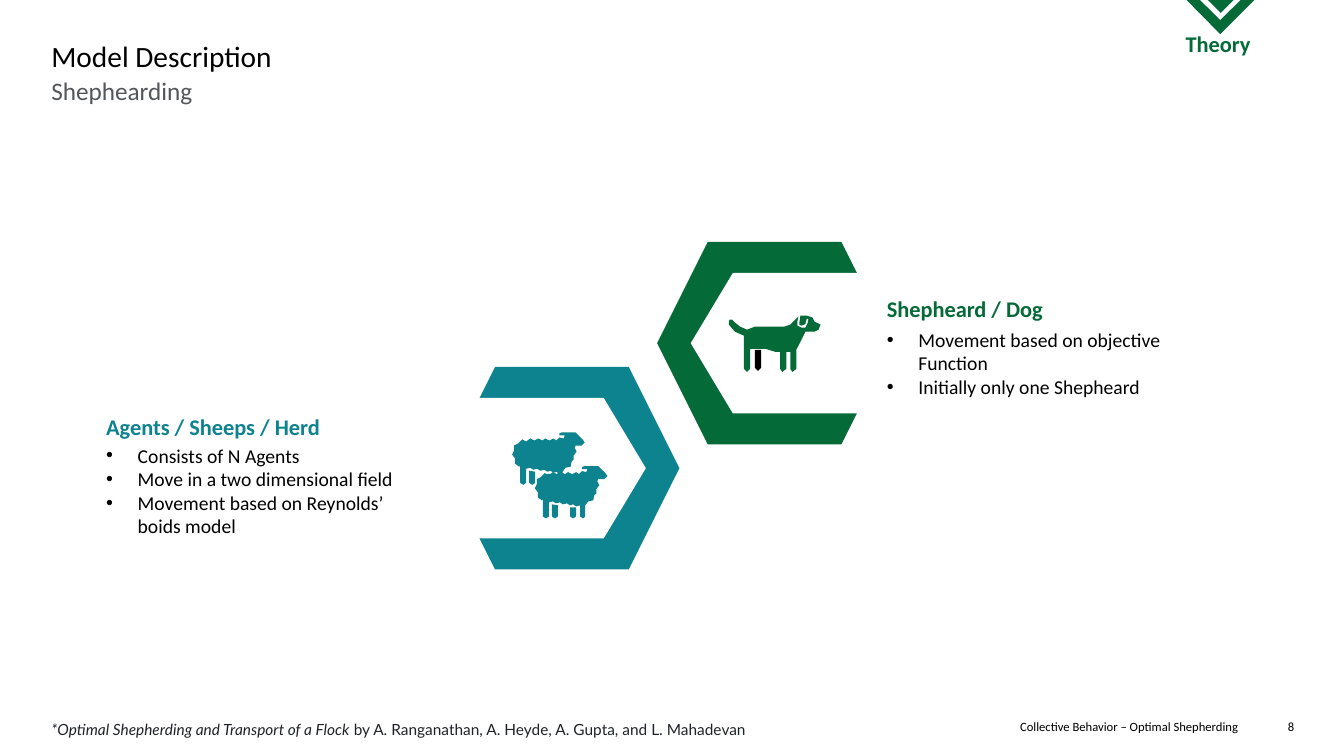
"""Build the Model Description slide on shepherding."""
from lxml import etree
from pptx import Presentation
from pptx import util as u
from pptx.dml import color
from pptx.enum import shapes, text
from pptx.oxml import ns

COLOURS = {"green": "046A38", "teal": "0D8390", "black": "000000",
           "grey": "53565A", "ink": "1F2328", "white": "FFFFFF"}
GRID = u.Pt(0.72)

CHEVRON = [(0, 0), (10, 0), (14, 6), (25, 20), (87, 81), (149, 20), (160, 6),
           (164, 0), (175, 0), (173, 3), (156, 26), (87, 95), (19, 26), (1, 3)]
DOG_BODY = [(85, 6), (83, 2), (77, 0), (71, 0), (70, 7), (70, 9), (72, 10),
            (75, 9), (76, 8), (77, 4), (78, 3), (79, 4), (78, 8), (76, 12),
            (72, 12), (68, 10), (68, 6), (69, 1), (61, 9), (55, 11), (26, 11),
            (18, 14), (11, 11), (5, 6), (3, 4), (1, 4), (0, 6), (0, 9),
            (6, 16), (15, 20), (15, 53), (18, 56), (21, 53), (21, 33),
            (36, 33), (46, 36), (51, 36), (51, 53), (53, 56), (57, 53),
            (57, 36), (61, 36), (61, 53), (63, 56), (67, 53), (67, 34),
            (71, 26), (76, 16), (85, 16), (89, 14), (91, 9)]
DOG_LEG = [(26, 34), (32, 34), (32, 52), (29, 55), (26, 52)]
SHEEP_BODY = [(70, 7), (63, 0), (49, 0), (47, 1), (47, 3), (52, 3), (52, 4),
              (51, 6), (47, 5), (44, 8), (41, 6), (37, 8), (33, 6), (30, 8),
              (26, 6), (22, 8), (18, 6), (14, 9), (10, 7), (6, 11), (2, 13),
              (2, 18), (0, 22), (3, 26), (3, 31), (7, 34), (8, 33), (8, 50),
              (11, 52), (14, 50), (14, 36), (18, 35), (21, 37), (25, 36),
              (28, 38), (32, 37), (35, 39), (38, 38), (41, 40), (45, 39),
              (45, 50), (48, 52), (50, 50), (50, 39), (53, 35), (58, 34),
              (59, 29), (61, 27), (61, 23), (64, 19), (62, 15), (63, 13),
              (69, 13), (72, 10)]
SHEEP_LEGS = [[(17, 38), (23, 39), (23, 50), (20, 52), (17, 50)],
              [(35, 41), (41, 41), (41, 50), (38, 52), (35, 50)]]


def paint(shape, colour):
    """Give a shape a flat fill with no line or shadow."""
    shape.shadow.inherit = False
    shape.fill.solid()
    shape.fill.fore_color.rgb = color.RGBColor.from_string(COLOURS[colour])
    shape.line.fill.background()
    return shape


def add_preset(slide, kind, box, colour):
    """Place a flat preset shape in a box given in points."""
    return paint(slide.shapes.add_shape(kind, *map(u.Pt, box)), colour)


def add_outline(slide, left, top, points, colour):
    """Draw a closed outline on the icon grid from a corner in points."""
    builder = slide.shapes.build_freeform(*points[0], scale=GRID)
    builder.add_line_segments(points[1:], close=True)
    paint(builder.convert_to_shape(u.Pt(left), u.Pt(top)), colour)


def add_text(slide, box, lines, size, colour, bold=False, align="LEFT",
             inset=(0, 0), font="Calibri", bullets=False):
    """Write paragraphs, each a list of (words, italic) runs, in a box."""
    frame = slide.shapes.add_textbox(*map(u.Pt, box)).text_frame
    frame.word_wrap = True
    frame.margin_left = frame.margin_right = u.Pt(inset[0])
    frame.margin_top = frame.margin_bottom = u.Pt(inset[1])
    for index, runs in enumerate(lines):
        paragraph = frame.add_paragraph() if index else frame.paragraphs[0]
        paragraph.alignment = text.PP_ALIGN[align]
        if bullets:
            properties = paragraph._p.get_or_add_pPr()
            properties.set("marL", str(u.Pt(22.5)))
            properties.set("indent", str(-u.Pt(22.5)))
            etree.SubElement(properties, ns.qn("a:buFont"), typeface="Arial")
            etree.SubElement(properties, ns.qn("a:buChar"), char="•")
        for words, italic in runs:
            run = paragraph.add_run()
            run.text = words
            run.font.name = font
            run.font.size = u.Pt(size)
            run.font.bold = bold
            run.font.italic = italic
            run.font.color.rgb = color.RGBColor.from_string(COLOURS[colour])


def add_header(slide, left, top, width):
    """Write the title and the subtitle below it."""
    add_text(slide, (left, top, width, 26.6), [[("Model Description", False)]], 21, "black")
    add_text(slide, (left, top + 26.6, width, 60), [[("Shephearding", False)]], 18, "grey")


def add_section_marker(slide, left, top, width):
    """Hang the pointed section marker from the top edge."""
    centre = left + width / 2
    drop = add_preset(slide, shapes.MSO_SHAPE.TEAR,
                      (centre - 59, top - 133.2, 118, 118), "green")
    drop.rotation = 135
    add_outline(slide, centre - 63, top - 44, CHEVRON, "green")
    add_text(slide, (left - 2, top + 21.6, width, 20), [[("Theory", False)]],
             16, "green", bold=True, align="CENTER")


def add_branch(slide, left, top, text_left, text_top, gap, heading, points, colour, mirrored):
    """Draw a hexagonal bracket with its heading and bullet list."""
    width, height, plate_width, rim = 167.8, 144.7, 414, 22.2
    add_preset(slide, shapes.MSO_SHAPE.HEXAGON, (left, top, width, height), colour)
    plate_left = left + 24 if mirrored else left + width - 24 - plate_width
    plate = add_preset(slide, shapes.MSO_SHAPE.PENTAGON,
                       (plate_left, top + rim, plate_width, height - 2 * rim), "white")
    plate.adjustments[0] = 0.3
    if mirrored:
        plate.element.spPr.xfrm.set("flipH", "1")
    add_text(slide, (text_left, text_top, 200, 26.6), [[(heading, False)]],
             16, colour, bold=True, inset=(7.2, 3.6))
    add_text(slide, (text_left, text_top + gap, 232.6, 24 + 17 * len(points)),
             [[(point, False)] for point in points], 14, "black",
             inset=(7.2, 3.6), bullets=True)


def add_dog(slide, left, top):
    """Draw the dog with its dark hind leg."""
    add_outline(slide, left, top, DOG_BODY, "green")
    add_outline(slide, left, top, DOG_LEG, "black")


def add_sheep(slide, left, top):
    """Draw one sheep."""
    for outline in [SHEEP_BODY, *SHEEP_LEGS]:
        add_outline(slide, left, top, outline, "teal")


def add_footer(slide, left, top, width):
    """Write the source, the talk title and the slide number."""
    right = left + width
    add_text(slide, (left, top + 0.7, width, 26), [[
        ("*Optimal Shepherding and Transport of a Flock", True),
        (" by A. Ranganathan, A. Heyde, A. Gupta, and L. Mahadevan", False)]],
        11, "ink", font="Lato")
    add_text(slide, (right - 425.5, top, 385.2, 11),
             [[("Collective Behavior – Optimal Shepherding", False)]], 9, "black", align="RIGHT")
    add_text(slide, (right - 24.5, top, 24.5, 11), [[("8", False)]], 9, "black", align="RIGHT")


def main():
    """Build and save the slide."""
    presentation = Presentation()
    presentation.slide_width, presentation.slide_height = u.Pt(960), u.Pt(540)
    slide = presentation.slides.add_slide(presentation.slide_layouts[6])
    add_section_marker(slide, 787, 0, 170)
    add_branch(slide, 469.4, 172.8, 626.4, 207.4, 23, "Shepheard / Dog",
               ["Movement based on objective Function", "Initially only one Shepheard"],
               "green", True)
    add_branch(slide, 317.5, 262.1, 68.8, 291.6, 21.6, "Agents / Sheeps / Herd",
               ["Consists of N Agents", "Move in a two dimensional field",
                "Movement based on Reynolds’ boids model"], "teal", False)
    add_dog(slide, 520.6, 225.4)
    for index in range(2):
        add_sheep(slide, 365.8 + 16.2 * index, 308.9 + 24 * index)
    add_header(slide, 36.7, 27.4, 887.8)
    add_footer(slide, 36.7, 513.4, 887.8)
    presentation.save("out.pptx")


if __name__ == "__main__":
    main()
